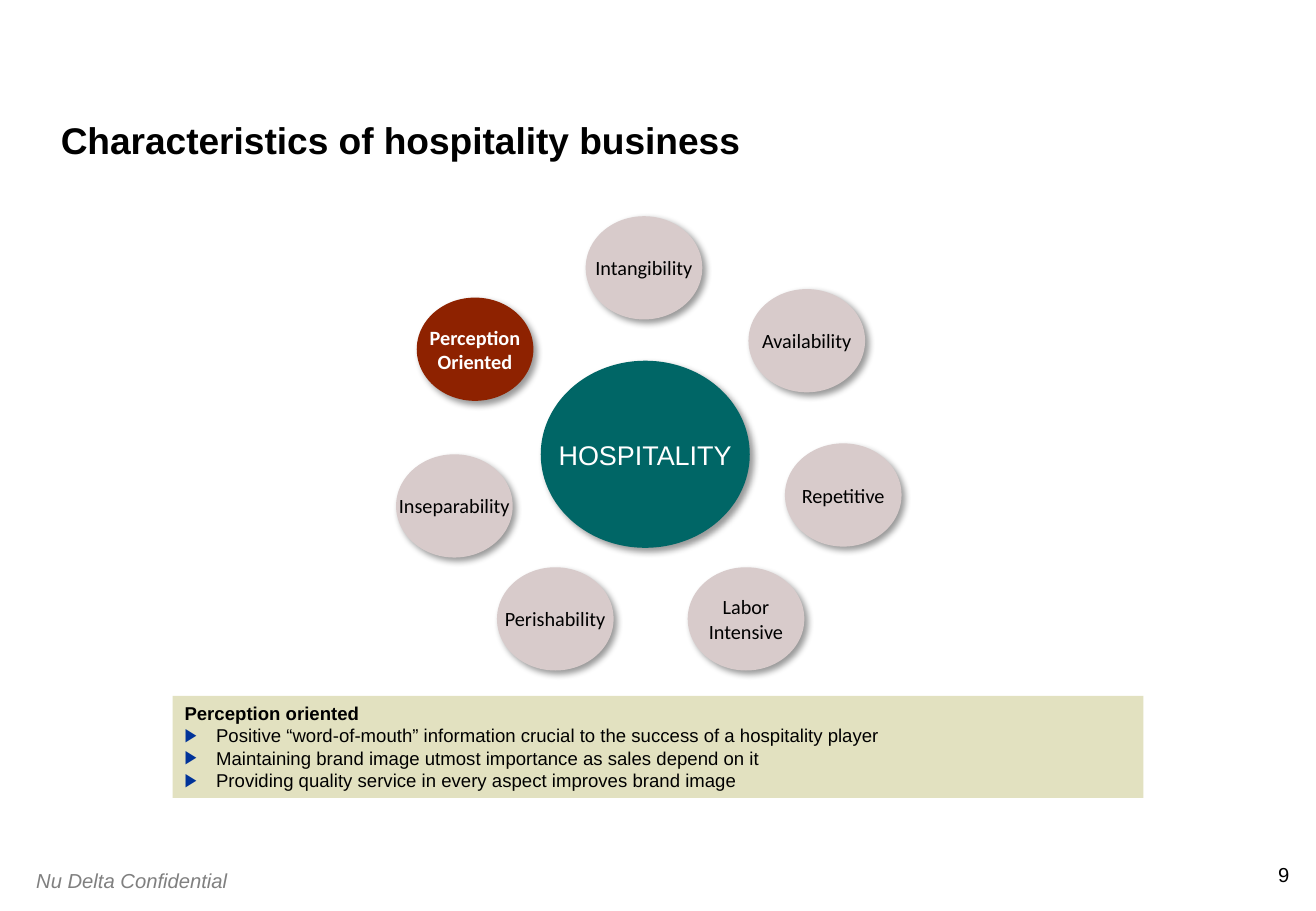
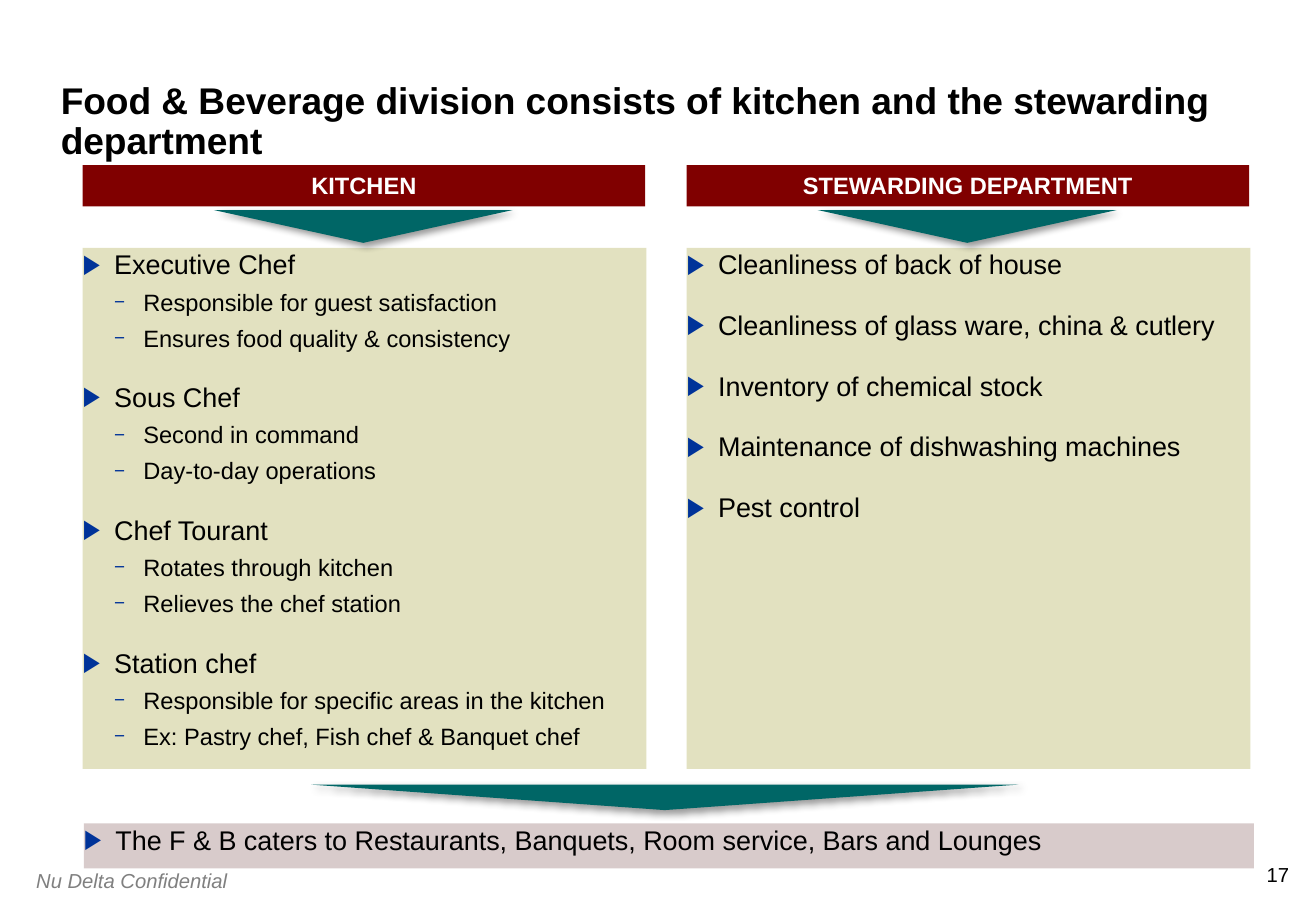
from lxml import etree
from pptx import Presentation
from pptx.dml.color import RGBColor
from pptx.enum.shapes import MSO_SHAPE
from pptx.enum.text import MSO_ANCHOR, MSO_AUTO_SIZE, PP_ALIGN
from pptx.oxml.ns import qn
from pptx.util import Emu, Pt

RECT, OVAL, TRIANGLE = MSO_SHAPE.RECTANGLE, MSO_SHAPE.OVAL, MSO_SHAPE.ISOSCELES_TRIANGLE
TOP, MIDDLE, BOTTOM = MSO_ANCHOR.TOP, MSO_ANCHOR.MIDDLE, MSO_ANCHOR.BOTTOM
LEFT, CENTER, RIGHT = PP_ALIGN.LEFT, PP_ALIGN.CENTER, PP_ALIGN.RIGHT
NO_FIT = MSO_AUTO_SIZE.NONE
PX = 9144

BLACK, WHITE, GREY, BLUE = "000000", "FFFFFF", "808080", "003399"
TEAL, RUST, MAROON = "006666", "8E2200", "800000"
SAND, MAUVE = "E2E1C0", "D8CBCB"
ARROW, DASH = ("▶", 100, 0, 26, 26), ("−", 80, 1, 50, 24)


def px(n):
    """Turn px, 100 to the inch, into EMU."""
    return Emu(n * PX)


def rgb(code):
    """Turn a hex string into a colour."""
    return RGBColor.from_string(code)


def child(parent, tag, **attrs):
    """Append an XML child with attributes."""
    node = etree.SubElement(parent, qn(tag))
    for key, value in attrs.items():
        node.set(key, str(value))
    return node


class Deck:
    """Hold the shared style and the current slide."""

    def __init__(self):
        """Start an empty presentation."""
        self.prs = Presentation()
        self.prs.slide_width, self.prs.slide_height = px(1083), px(750)

    def slide(self, title, number):
        """Add a slide with its title, footer and page number."""
        self.s = self.prs.slides.add_slide(self.prs.slide_layouts[5])
        sp = self.s.shapes.title
        self.place(sp, 50, 42, 983, 92)
        self.frame(sp, BOTTOM)
        p = self.text(sp, title, 22, bold=True)
        p.line_spacing = 0.9
        self.label(20, 710, 200, 30, "Nu Delta Confidential", GREY, LEFT, (10, 5), True)
        self.label(1040, 710, 21, 20, number, BLACK, RIGHT)

    def place(self, sp, x, y, w, h):
        """Set the position and size of a shape."""
        sp.left, sp.top, sp.width, sp.height = px(x), px(y), px(w), px(h)

    def frame(self, sp, anchor=TOP, inset=(0, 0), wrap=True):
        """Set the anchor, insets and wrapping of a text frame."""
        tf = sp.text_frame
        tf.auto_size, tf.word_wrap, tf.vertical_anchor = NO_FIT, wrap, anchor
        tf.margin_left = tf.margin_right = px(inset[0])
        tf.margin_top = tf.margin_bottom = px(inset[1])

    def text(self, sp, text, size, color=BLACK, bold=False, italic=False,
             align=LEFT, font="Arial", bullet=None):
        """Add one paragraph with one run and return the paragraph."""
        tf = sp.text_frame
        p = tf.paragraphs[0] if not tf.text else tf.add_paragraph()
        p.alignment = align
        if bullet:
            self.bullet(p, *bullet)
        r = p.add_run()
        r.text = text
        r.font.size, r.font.name = Pt(size), font
        r.font.bold, r.font.italic = bold, italic
        r.font.color.rgb = rgb(color)
        return p

    def bullet(self, p, char, percent, level, margin, hang):
        """Give a paragraph a blue bullet and a hanging indent."""
        p.level = level
        pPr = p._p.get_or_add_pPr()
        pPr.set("marL", str(px(margin)))
        pPr.set("indent", str(-px(hang)))
        child(child(pPr, "a:buClr"), "a:srgbClr", val=BLUE)
        child(pPr, "a:buSzPct", val=percent * 1000)
        child(pPr, "a:buFont", typeface="Arial")
        child(pPr, "a:buChar", char=char)

    def label(self, x, y, w, h, text, color, align, inset=(0, 0), italic=False):
        """Add a small text box."""
        sp = self.s.shapes.add_textbox(px(x), px(y), px(w), px(h))
        self.frame(sp, inset=inset)
        self.text(sp, text, 12, color, italic=italic, align=align)

    def shape(self, kind, x, y, w, h, fill, shadow=False):
        """Add a filled shape without outline."""
        sp = self.s.shapes.add_shape(kind, px(x), px(y), px(w), px(h))
        sp.shadow.inherit = False
        sp.fill.solid()
        sp.fill.fore_color.rgb = rgb(fill)
        sp.line.fill.background()
        if shadow:
            effects = sp._element.spPr.find(qn("a:effectLst"))
            outer = child(effects, "a:outerShdw", blurRad=Pt(4), dist=Pt(3),
                          dir=45 * 60000, algn="tl", rotWithShape=0)
            child(child(outer, "a:srgbClr", val=BLACK), "a:alpha", val=40000)
        return sp

    def bubble(self, x, y, lines, fill=MAUVE, color=BLACK, w=96, h=85,
               size=12, font="Calibri", bold=False):
        """Add a shadowed ellipse with centred lines."""
        sp = self.shape(OVAL, x, y, w, h, fill, True)
        self.frame(sp, MIDDLE, (5, 5), False)
        for line in lines:
            self.text(sp, line, size, color, bold, align=CENTER, font=font)

    def header(self, x, y, w, h, text):
        """Add a column heading bar."""
        sp = self.shape(RECT, x, y, w, h, MAROON)
        self.frame(sp, inset=(10, 5))
        self.text(sp, text, 14, WHITE, True, align=CENTER)

    def pointer(self, x, y, w, h):
        """Add a triangle that points down."""
        sp = self.shape(TRIANGLE, x, y, w, h, TEAL, True)
        sp._element.spPr.get_or_add_xfrm().set("flipV", "1")

    def panel(self, x, y, w, h, groups, fill=SAND):
        """Add a box of bulleted topics with their details."""
        sp = self.shape(RECT, x, y, w, h, fill)
        self.frame(sp)
        for i, (topic, *details) in enumerate(groups):
            p = self.text(sp, topic, 16, bullet=ARROW)
            p.space_before = Pt(16.8 if i else 0)
            for detail in details:
                p = self.text(sp, detail, 14, bullet=DASH)
                p.line_spacing, p.space_before = 0.9, Pt(6.2)

    def note(self, x, y, w, h, heading, points):
        """Add a box with a bold heading and bulleted points."""
        sp = self.shape(RECT, x, y, w, h, SAND)
        self.frame(sp, inset=(10, 5))
        self.text(sp, heading, 11, bold=True)
        for point in points:
            self.text(sp, point, 11, bullet=ARROW)


def characteristics(deck):
    """Build the slide on the hospitality business."""
    deck.slide("Characteristics of hospitality business", "9")
    for x, y, *lines in (
        (409, 467, "Perishability"),
        (326, 374, "Inseparability"),
        (482, 178, "Intangibility"),
        (566, 467, "Labor", "Intensive"),
        (616, 238, "Availability"),
        (646, 365, "Repetitive"),
    ):
        deck.bubble(x, y, lines)
    deck.bubble(343, 245, ["Perception", "Oriented"], RUST, WHITE, bold=True)
    deck.bubble(445, 297, ["HOSPITALITY"], TEAL, WHITE, 172, 154, 16, "Arial")
    deck.note(142, 573, 799, 84, "Perception oriented", [
        "Positive “word-of-mouth” information crucial to the success of a hospitality player",
        "Maintaining brand image utmost importance as sales depend on it",
        "Providing quality service in every aspect improves brand image",
    ])


def food_and_beverage(deck):
    """Build the slide on the kitchen and stewarding departments."""
    deck.slide("Food & Beverage division consists of kitchen and the stewarding department", "17")
    columns = (
        ("KITCHEN", [
            ("Executive Chef", "Responsible for guest satisfaction",
             "Ensures food quality & consistency"),
            ("Sous Chef", "Second in command", "Day-to-day operations"),
            ("Chef Tourant", "Rotates through kitchen", "Relieves the chef station"),
            ("Station chef", "Responsible for specific areas in the kitchen",
             "Ex: Pastry chef, Fish chef & Banquet chef"),
        ]),
        ("STEWARDING DEPARTMENT", [
            ("Cleanliness of back of house",),
            ("Cleanliness of glass ware, china & cutlery",),
            ("Inventory of chemical stock",),
            ("Maintenance of dishwashing machines",),
            ("Pest control",),
        ]),
    )
    for i, (heading, groups) in enumerate(columns):
        x = 68 + 497 * i
        deck.panel(x, 204, 464, 429, groups)
        deck.header(x, 136, 463, 34, heading)
        deck.pointer(x + 108, 173, 246, 27)
    deck.pointer(256, 646, 582, 21)
    deck.panel(69, 678, 963, 37, [
        ("The F & B caters to Restaurants, Banquets, Room service, Bars and Lounges",),
    ], MAUVE)


def main():
    """Build and save the presentation."""
    deck = Deck()
    characteristics(deck)
    food_and_beverage(deck)
    deck.prs.save("out.pptx")


if __name__ == "__main__":
    main()
